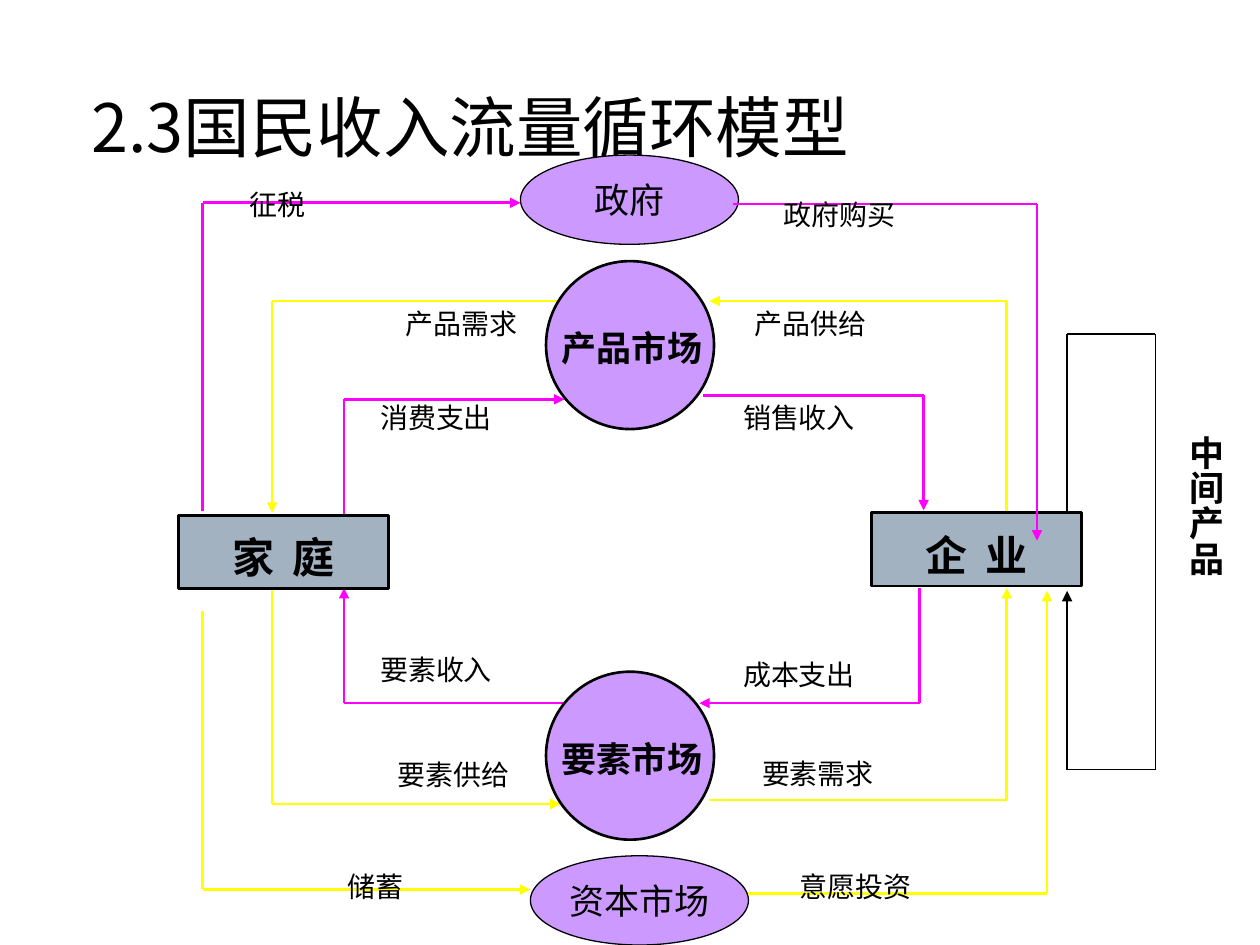
from itertools import pairwise

from lxml.etree import SubElement as sub
from pptx import Presentation
from pptx.dml.color import RGBColor as RGB
from pptx.enum.shapes import MSO_CONNECTOR as LINK, MSO_SHAPE as KIND
from pptx.enum.text import MSO_ANCHOR as ANCHOR, MSO_AUTO_SIZE as AUTO, PP_ALIGN as ALIGN
from pptx.oxml.ns import qn
from pptx.util import Pt

BLACK = RGB(0, 0, 0)
PINK = RGB(255, 0, 255)
YELLOW = RGB(255, 255, 0)
LILAC = RGB(204, 153, 255)
STEEL = RGB(163, 178, 193)
SANS = "Noto Sans CJK SC"
SERIF = "Times New Roman"

FLOWS = [
    (PINK, [(525.6, 336), (525.6, 401.8), (399.6, 401.8)], "成本支出", (417.6, 368.6, 96)),
    (YELLOW, [(405.4, 457.2), (575.3, 457.2), (575.3, 336)], "要素需求", (428.4, 424.8, 83)),
    (PINK, [(401.8, 226), (527.8, 226), (527.8, 291.6)], "销售收入", (417.6, 221.8, 96)),
    (YELLOW, [(575.3, 293), (575.3, 172), (405.4, 172)], "产品供给", (424, 167.8, 82)),
    (YELLOW, [(329.8, 172), (155.5, 172), (155.5, 293)], "产品需求", (224.6, 167.8, 84)),
    (PINK, [(196.6, 293.8), (196.6, 228.2), (322.6, 228.2)], "消费支出", (210.2, 221.8, 96)),
    (PINK, [(322.6, 401.8), (196.6, 401.8), (196.6, 336)], "要素收入", (210.2, 365.8, 96)),
    (YELLOW, [(155.5, 337), (155.5, 459.4), (320.4, 459.4)], "要素供给", (220.3, 425.5, 80)),
]
OUTER = [
    (YELLOW, [(115.9, 349.2), (115.9, 508.3), (303.1, 508.3)], "储蓄", (191.5, 489.6, 91)),
    (YELLOW, [(427.7, 510.5), (598.3, 510.5), (598.3, 337.7)], "意愿投资", (450, 489.6, 83)),
    (PINK, [(115.9, 292.3), (115.9, 115.9), (297.4, 115.9)], "征税", (135.4, 100, 138)),
    (PINK, [(419, 116.6), (592.6, 116.6), (592.6, 308.9)], "政府购买", (440.6, 105.8, 132)),
]
LOOP = [(609.8, 292.3), (609.8, 190.8), (660.2, 190.8), (660.2, 439.9), (609.8, 439.9), (609.8, 337.7)]


def write(frame, text, size, bold=False, font=SANS, align=ALIGN.LEFT, gap=1.0, track=0):
    """Add one styled run to the first paragraph of a frame."""
    para = frame.paragraphs[0]
    para.alignment = align
    para.line_spacing = gap
    para.space_before = Pt(0)
    run = para.add_run()
    run.text = text
    run.font.size = Pt(size)
    run.font.bold = bold
    run.font.color.rgb = BLACK
    run.font.name = font
    props = run.font._element
    sub(props, qn("a:ea"), typeface=SANS)
    if track:
        props.set("spc", str(track))


def label(slide, text, spot, size=16, bold=False):
    """Add a text label at left, top and width."""
    left, top, width = spot
    box = slide.shapes.add_textbox(Pt(left), Pt(top), Pt(width), Pt(size * 1.5 + 6))
    box.text_frame.word_wrap = True
    write(box.text_frame, text, size, bold, gap=1.2)


def route(slide, points, color, width=1.5):
    """Join points with straight lines and end in an arrowhead."""
    for start, end in pairwise(points):
        line = slide.shapes.add_connector(LINK.STRAIGHT, *map(Pt, start + end))
        line.line.color.rgb = color
        line.line.width = Pt(width)
        sub(line._element.spPr, qn("a:effectLst"))
    sub(line.line._get_or_add_ln(), qn("a:tailEnd"), type="triangle")


def flow(slide, color, points, text, spot):
    """Draw one flow with its label."""
    route(slide, points, color)
    label(slide, text, spot)


def node(slide, kind, area, fill, width=1.5):
    """Add a filled shape and return its text frame."""
    shape = slide.shapes.add_shape(kind, *map(Pt, area))
    shape.shadow.inherit = False
    shape.fill.solid()
    shape.fill.fore_color.rgb = fill
    shape.line.color.rgb = BLACK
    shape.line.width = Pt(width)
    frame = shape.text_frame
    frame.vertical_anchor = ANCHOR.MIDDLE
    return frame


def actor(slide, text, left, top):
    """Add a box for a household or a firm."""
    frame = node(slide, KIND.RECTANGLE, (left, top, 120, 42), STEEL)
    write(frame, text, 24, True, align=ALIGN.CENTER, gap=1.2, track=270)


def market(slide, text, top):
    """Add a round market with a bold label."""
    node(slide, KIND.OVAL, (312, top, 96, 96), LILAC)
    label(slide, text, (314, top + 29.2, 96), 20, True)


def oval(slide, text, left, top):
    """Add a flat ellipse with centred text."""
    frame = node(slide, KIND.OVAL, (left, top, 124.6, 51), LILAC, 0.75)
    frame.word_wrap = False
    write(frame, text, 20, font=SERIF, align=ALIGN.CENTER)


def heading(slide, text):
    """Place and fill the title."""
    title = slide.shapes.title
    title.left, title.top, title.width, title.height = map(Pt, (45, 24, 630, 96))
    frame = title.text_frame
    frame.auto_size = AUTO.NONE
    frame.vertical_anchor = ANCHOR.MIDDLE
    write(frame, text, 38)


def upright(slide, text):
    """Add the vertical label beside the loop."""
    box = slide.shapes.add_textbox(Pt(666.7), Pt(242), Pt(38), Pt(159))
    frame = box.text_frame
    frame.word_wrap = True
    frame.margin_left = frame.margin_right = Pt(3.6)
    frame.margin_top = frame.margin_bottom = Pt(7.2)
    frame._txBody.bodyPr.set("vert", "eaVert")
    write(frame, text, 20, True, SERIF, ALIGN.CENTER)


def main():
    """Build the circular flow slide."""
    deck = Presentation()
    deck.slide_width, deck.slide_height = Pt(720), Pt(540)
    slide = deck.slides.add_slide(deck.slide_layouts[5])
    heading(slide, "2.3国民收入流量循环模型")
    for item in FLOWS:
        flow(slide, *item)
    market(slide, "产品市场", 149.2)
    market(slide, "要素市场", 383.8)
    actor(slide, "企 业", 498, 293)
    actor(slide, "家 庭", 102, 294.5)
    route(slide, LOOP, BLACK, 0.75)
    upright(slide, "中间产品")
    oval(slide, "资本市场", 303.1, 489)
    oval(slide, "政府", 297.4, 88.6)
    for item in OUTER:
        flow(slide, *item)
    deck.save("out.pptx")


if __name__ == "__main__":
    main()
